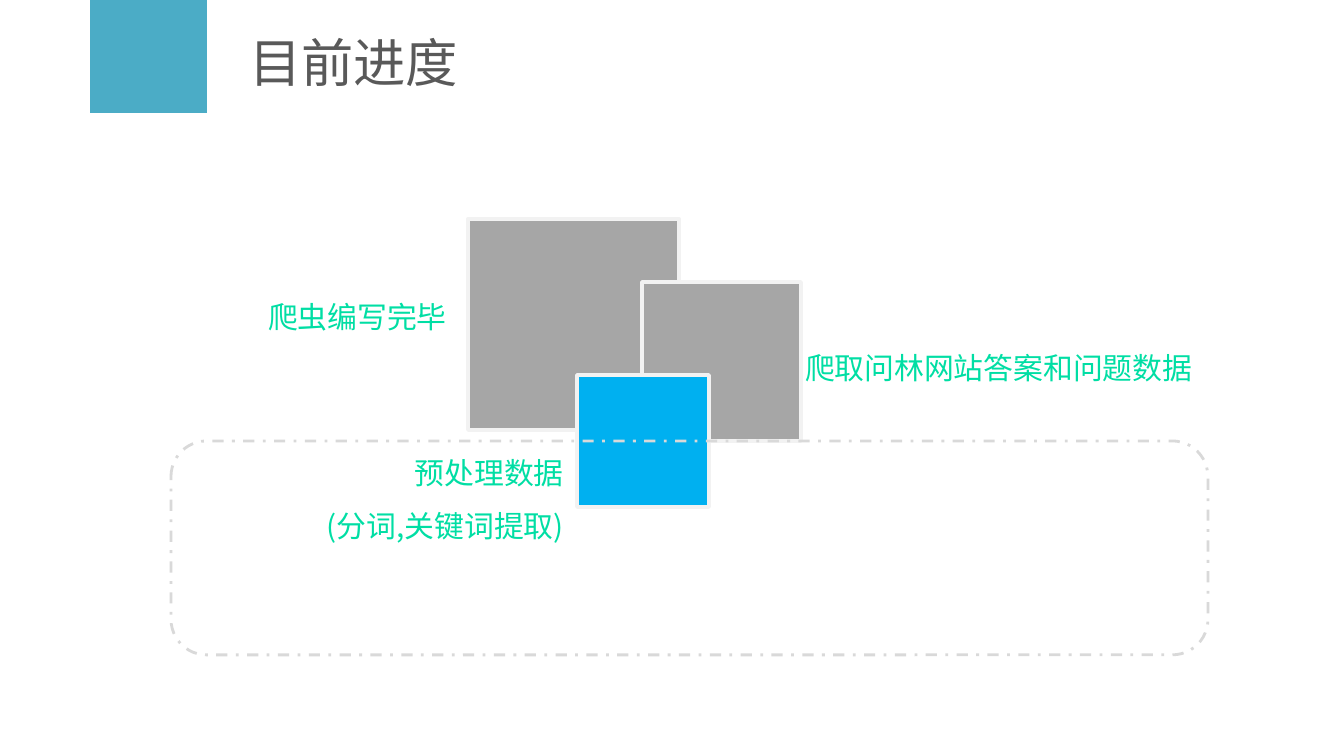
"""Build the current-progress slide with overlapping milestone squares."""
from lxml.etree import SubElement
from pptx import Presentation
from pptx.dml.color import RGBColor
from pptx.enum.dml import MSO_LINE
from pptx.enum.shapes import MSO_SHAPE
from pptx.enum.text import MSO_ANCHOR, MSO_AUTO_SIZE, PP_ALIGN
from pptx.oxml.ns import qn
from pptx.util import Emu, Pt

PX = 914400 / 134.4
FONT = "Noto Sans CJK SC"
COLORS = {
    "accent": "4BACC6", "title": "595959", "done": "A6A6A6", "current": "00B0F0",
    "edge": "F2F2F2", "label": "00DEA4", "frame": "D9D9D9",
}

HEADER_BLOCK = (90, 0, 117, 113)
TITLE = {"box": (236, 19, 1060, 85), "lines": ["目前进度"], "size": 28, "color": "title"}
SQUARES = [(468, 219, 211, "done"), (642, 282, 159, "done"), (577, 375, 132, "current")]
LABELS = [
    {"box": (132, 274, 328, 62), "lines": ["爬虫编写完毕"], "align": PP_ALIGN.RIGHT},
    {"box": (280, 430, 297, 122), "lines": ["预处理数据", "(分词,关键词提取)"], "align": PP_ALIGN.RIGHT},
    {"box": (792, 325, 508, 62), "lines": ["爬取问林网站答案和问题数据"], "align": PP_ALIGN.LEFT},
]
LABEL_FORMAT = {"size": 16, "color": "label", "spacing": 1.5}
FRAME = (171, 441, 1037, 214)
TITLE_FRAME = {"word_wrap": True, "vertical_anchor": MSO_ANCHOR.MIDDLE}
LABEL_FRAME = {"word_wrap": True, "auto_size": MSO_AUTO_SIZE.SHAPE_TO_FIT_TEXT}


def rgb(color):
    return RGBColor.from_string(COLORS[color])


def emu(*lengths):
    return [Emu(round(length * PX)) for length in lengths]


def apply_format(target, values):
    for name, value in values.items():
        setattr(target, name, value)


def add_block(slide, kind, box, fill=None, edge=None, line_format=None):
    block = slide.shapes.add_shape(kind, *emu(*box))
    block.shadow.inherit = False
    if fill:
        block.fill.solid()
        block.fill.fore_color.rgb = rgb(fill)
    else:
        block.fill.background()
    if edge:
        block.line.color.rgb = rgb(edge)
        apply_format(block.line, line_format)
    else:
        block.line.fill.background()


def add_text(slide, frame_format, box, lines, size, color, align=PP_ALIGN.LEFT, spacing=1.0):
    frame = slide.shapes.add_textbox(*emu(*box)).text_frame
    apply_format(frame, frame_format)
    frame.text = "\n".join(lines)
    for paragraph in frame.paragraphs:
        apply_format(paragraph, {"alignment": align, "line_spacing": spacing})
        for run in paragraph.runs:
            apply_format(run.font, {"name": FONT, "size": Pt(size)})
            run.font.color.rgb = rgb(color)
            SubElement(run.font._element, qn("a:ea"), typeface=FONT)


def main():
    deck = Presentation()
    deck.slide_width, deck.slide_height = emu(1344, 756)
    slide = deck.slides.add_slide(deck.slide_layouts[6])
    add_block(slide, MSO_SHAPE.RECTANGLE, HEADER_BLOCK, fill="accent")
    add_text(slide, TITLE_FRAME, **TITLE)
    for left, top, side, fill in SQUARES:
        add_block(slide, MSO_SHAPE.RECTANGLE, (left, top, side, side), fill, "edge", {"width": Pt(2)})
    for label in LABELS:
        add_text(slide, LABEL_FRAME, **label, **LABEL_FORMAT)
    add_block(slide, MSO_SHAPE.ROUNDED_RECTANGLE, FRAME, edge="frame",
              line_format={"width": Pt(1.5), "dash_style": MSO_LINE.DASH_DOT})
    deck.save("out.pptx")


if __name__ == "__main__":
    main()
